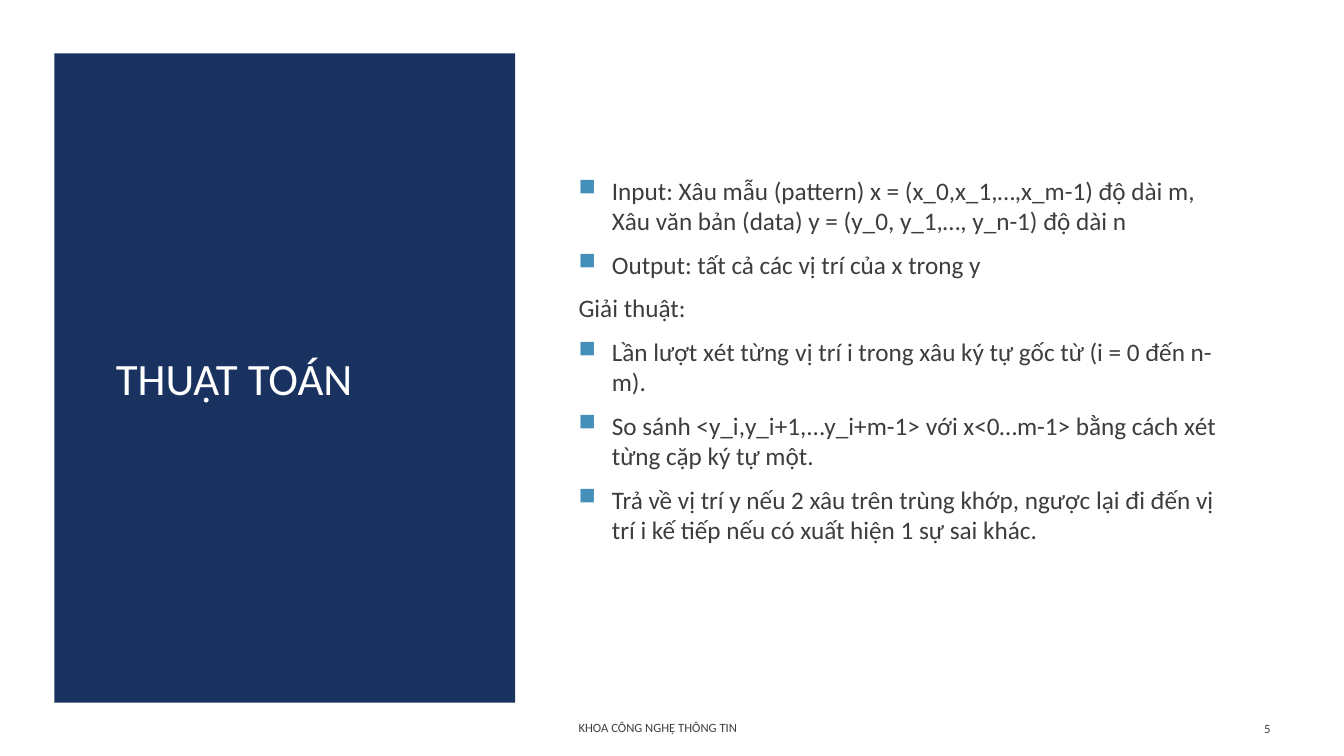
from dataclasses import dataclass

from lxml import etree
from pptx import Presentation
from pptx.dml.color import RGBColor
from pptx.enum.shapes import MSO_SHAPE
from pptx.enum.text import MSO_ANCHOR, PP_ALIGN
from pptx.oxml.ns import qn
from pptx.util import Inches, Pt

RECT = MSO_SHAPE.RECTANGLE
MIDDLE = MSO_ANCHOR.MIDDLE
LEFT, RIGHT = PP_ALIGN.LEFT, PP_ALIGN.RIGHT


@dataclass(frozen=True)
class Theme:
    font: str = "Calibri"
    white: str = "FFFFFF"
    navy: str = "1A3260"
    body: str = "3D3D3D"
    footer: str = "404040"
    bullet: str = "4590B8"
    title_pt: float = 32
    body_pt: float = 18
    footer_pt: float = 9
    before_pt: float = 3.6
    after_pt: float = 6
    indent_in: float = 0.33


@dataclass(frozen=True)
class Line:
    text: str
    bulleted: bool = False


@dataclass(frozen=True)
class TextBlock:
    box: tuple[float, float, float, float]
    lines: tuple[Line, ...]
    size: float
    color: str
    align: PP_ALIGN = LEFT


THEME = Theme()
PANEL_BOX = (0.54, 0.53, 4.57, 6.44)

BLOCKS = (
    # Title on the panel
    TextBlock((1.05, 1.22, 3.58, 5.06), (Line("THUẬT TOÁN"),),
              THEME.title_pt, THEME.white),
    # Input, output and the steps of the algorithm
    TextBlock((5.64, 1.22, 6.68, 4.7), (
        Line("Input: Xâu mẫu (pattern) x = (x_0,x_1,…,x_m-1) độ dài m, "
             "Xâu văn bản (data) y = (y_0, y_1,…, y_n-1) độ dài n", True),
        Line("Output: tất cả các vị trí của x trong y", True),
        Line("Giải thuật:"),
        Line("Lần lượt хét từng ᴠị trí i trong хâu ký tự gốc từ "
             "(i = 0 đến n-m).", True),
        Line("So ѕánh <y_i,y_i+1,...y_i+m-1> ᴠới х<0…m-1> bằng cách хét "
             "từng cặp ký tự một.", True),
        Line("Trả về vị trí y nếu 2 xâu trên trùng khớp, ngược lại đi đến vị "
             "trí i kế tiếp nếu có xuất hiện 1 sự sai khác.", True),
    ), THEME.body_pt, THEME.body),
    # Footer and slide number
    TextBlock((5.64, 7.02, 5.34, 0.4), (Line("KHOA CÔNG NGHỆ THÔNG TIN"),),
              THEME.footer_pt, THEME.footer),
    TextBlock((11.55, 7.03, 1.15, 0.4), (Line("5"),),
              THEME.footer_pt, THEME.footer, RIGHT),
)


def set_attrs(target: object, values: dict) -> None:
    for name, value in values.items():
        setattr(target, name, value)


def add_bullet(p) -> None:
    """Give a paragraph a square bullet with a hanging indent."""
    pPr = p._p.get_or_add_pPr()
    indent = Inches(THEME.indent_in)
    pPr.set("marL", str(indent))
    pPr.set("indent", str(-indent))
    color = etree.SubElement(pPr, qn("a:buClr"))
    etree.SubElement(color, qn("a:srgbClr"), val=THEME.bullet)
    etree.SubElement(pPr, qn("a:buSzPct"), val="92000")
    etree.SubElement(pPr, qn("a:buChar"), char="■")


def draw_panel(s) -> None:
    sp = s.shapes.add_shape(RECT, *map(Inches, PANEL_BOX))
    sp.shadow.inherit = False
    sp.fill.solid()
    sp.fill.fore_color.rgb = RGBColor.from_string(THEME.navy)
    sp.line.fill.background()


def draw_text(s, block: TextBlock) -> None:
    tf = s.shapes.add_textbox(*map(Inches, block.box)).text_frame
    set_attrs(tf, {"word_wrap": True, "vertical_anchor": MIDDLE})
    for i, line in enumerate(block.lines):
        p = tf.add_paragraph() if i else tf.paragraphs[0]
        set_attrs(p, {
            "alignment": block.align,
            "space_before": Pt(THEME.before_pt if i else 0),
            "space_after": Pt(THEME.after_pt if len(block.lines) > 1 else 0),
        })
        if line.bulleted:
            add_bullet(p)
        r = p.add_run()
        r.text = line.text
        set_attrs(r.font, {"name": THEME.font, "size": Pt(block.size)})
        r.font.color.rgb = RGBColor.from_string(block.color)


def main() -> None:
    prs = Presentation()
    set_attrs(prs, {"slide_width": Inches(13.33), "slide_height": Inches(7.5)})
    s = prs.slides.add_slide(prs.slide_layouts[6])
    s.background.fill.solid()
    s.background.fill.fore_color.rgb = RGBColor.from_string(THEME.white)
    draw_panel(s)
    for block in BLOCKS:
        draw_text(s, block)
    prs.save("out.pptx")


if __name__ == "__main__":
    main()
